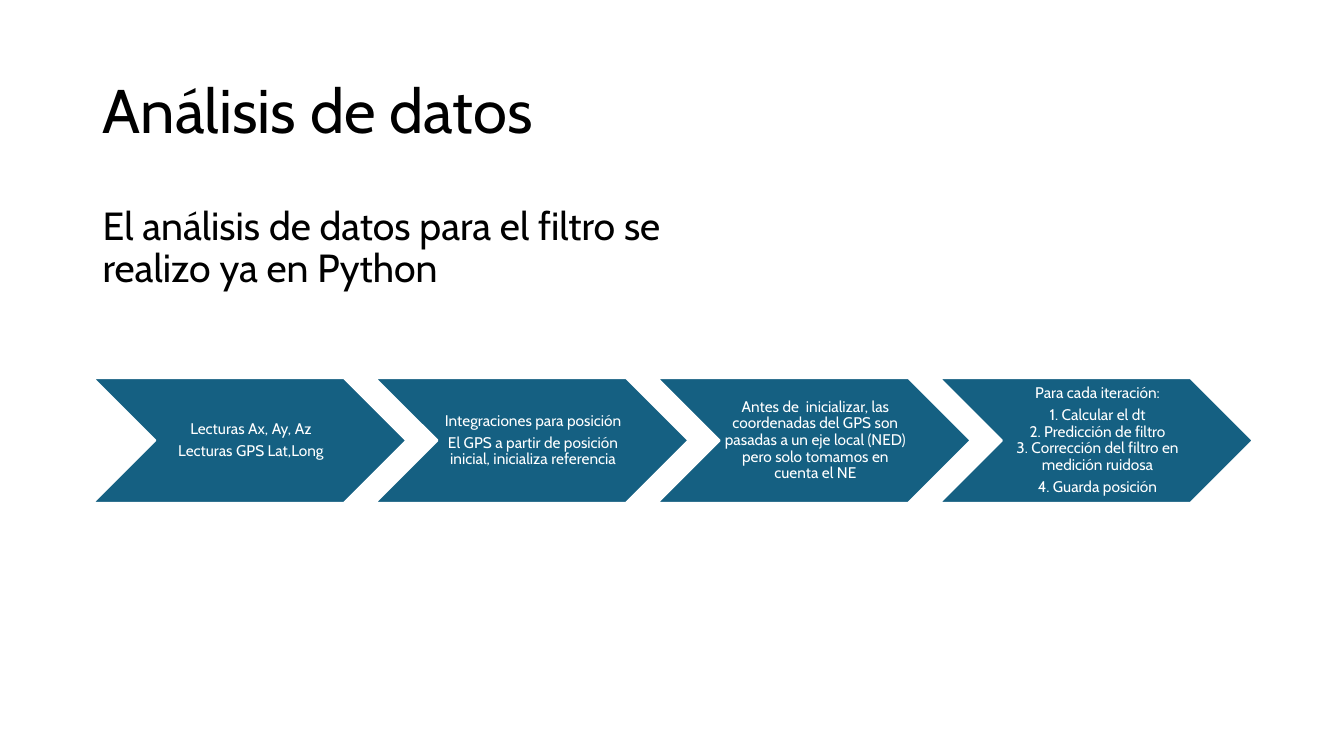
from dataclasses import dataclass

from lxml import etree
from pptx import Presentation
from pptx import util as u
from pptx.dml.color import RGBColor
from pptx.enum import shapes, text
from pptx.oxml import ns

COLORS = {"text": "000000", "step": "156082", "light": "FFFFFF"}
FONT = "Cabin"
LINE_SPACING = 0.9


@dataclass(frozen=True)
class TextStyle:
    size: float
    color: str
    alignment: text.PP_ALIGN = text.PP_ALIGN.LEFT
    anchor: text.MSO_ANCHOR = text.MSO_ANCHOR.TOP
    space_after: float = 0
    margins: tuple[float, float, float, float] = (0.1, 0.05, 0.1, 0.05)


@dataclass(frozen=True)
class Step:
    paragraphs: tuple[str, ...]


TITLE = TextStyle(44, "text", anchor=text.MSO_ANCHOR.MIDDLE)
BODY = TextStyle(28, "text")
STEP = TextStyle(11, "light", text.PP_ALIGN.CENTER, text.MSO_ANCHOR.MIDDLE,
                 0.35 * 11, (0.05, 0.02, 0.02, 0.02))

STEPS = (
    Step(("Lecturas Ax, Ay, Az", "Lecturas GPS Lat,Long")),
    Step(("Integraciones para posición",
          "El GPS a partir de posición inicial, inicializa referencia")),
    Step(("Antes de  inicializar, las coordenadas del GPS son pasadas a un eje "
          "local (NED) pero solo tomamos en cuenta el NE",)),
    Step(("Para cada iteración:",
          "1. Calcular el dt\n2. Predicción de filtro\n"
          "3. Corrección del filtro en medición ruidosa",
          "4. Guarda posición")),
)

# Chevron row
LEFT, TOP, WIDTH, HEIGHT = 0.92, 3.75, 3.11, 1.24
PITCH = 0.9 * WIDTH


def color(name: str) -> RGBColor:
    return RGBColor.from_string(COLORS[name])


def add_line_break(paragraph, size: float) -> None:
    """Break the line, keeping the break at the size of the text."""
    paragraph.add_line_break()
    line_break = paragraph._p.findall(ns.qn("a:br"))[-1]
    etree.SubElement(line_break, ns.qn("a:rPr"), sz=str(round(size * 100)))


def add_text(container, box: tuple[float, float, float, float],
             paragraphs: tuple[str, ...], style: TextStyle) -> None:
    shape = container.add_textbox(*map(u.Inches, box))
    frame = shape.text_frame
    frame.word_wrap = True
    frame.vertical_anchor = style.anchor
    (frame.margin_left, frame.margin_top,
     frame.margin_right, frame.margin_bottom) = map(u.Inches, style.margins)
    for index, content in enumerate(paragraphs):
        paragraph = frame.add_paragraph() if index else frame.paragraphs[0]
        paragraph.alignment = style.alignment
        paragraph.line_spacing = LINE_SPACING
        paragraph.space_after = u.Pt(style.space_after)
        for number, line in enumerate(content.split("\n")):
            if number:
                add_line_break(paragraph, style.size)
            run = paragraph.add_run()
            run.text = line
            run.font.name = FONT
            run.font.size = u.Pt(style.size)
            run.font.color.rgb = color(style.color)


def add_step(container, left: float, step: Step) -> None:
    shape = container.add_shape(shapes.MSO_SHAPE.CHEVRON,
                                *map(u.Inches, (left, TOP, WIDTH, HEIGHT)))
    shape.shadow.inherit = False
    shape.fill.solid()
    shape.fill.fore_color.rgb = color("step")
    shape.line.color.rgb = color("light")
    shape.line.width = u.Pt(1.5)
    # The text sits between the notch and the point
    add_text(container, (left + HEIGHT / 2, TOP, WIDTH - HEIGHT, HEIGHT),
             step.paragraphs, STEP)


def main() -> None:
    presentation = Presentation()
    presentation.slide_width = u.Inches(13.33)
    presentation.slide_height = u.Inches(7.5)
    slide = presentation.slides.add_slide(presentation.slide_layouts[6])

    # Title and introduction
    add_text(slide.shapes, (LEFT, 0.4, 11.5, 1.45), ("Análisis de datos",), TITLE)
    add_text(slide.shapes, (LEFT, 2, 6.87, 4.76),
             ("El análisis de datos para el filtro se realizo ya en Python",), BODY)

    # Process steps
    process = slide.shapes.add_group_shape()
    for index, step in enumerate(STEPS):
        add_step(process.shapes, LEFT + index * PITCH, step)

    presentation.save("out.pptx")


if __name__ == "__main__":
    main()
